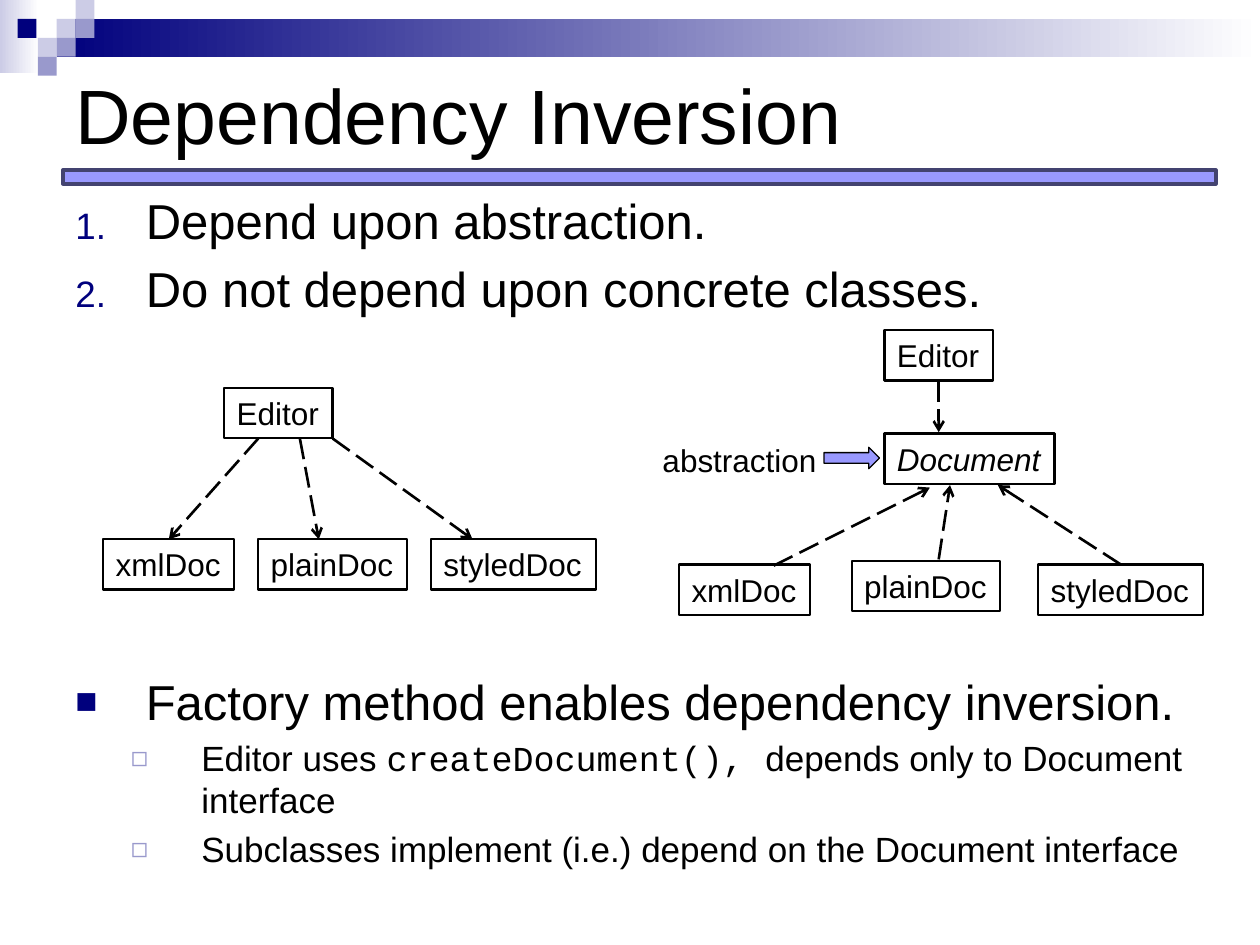
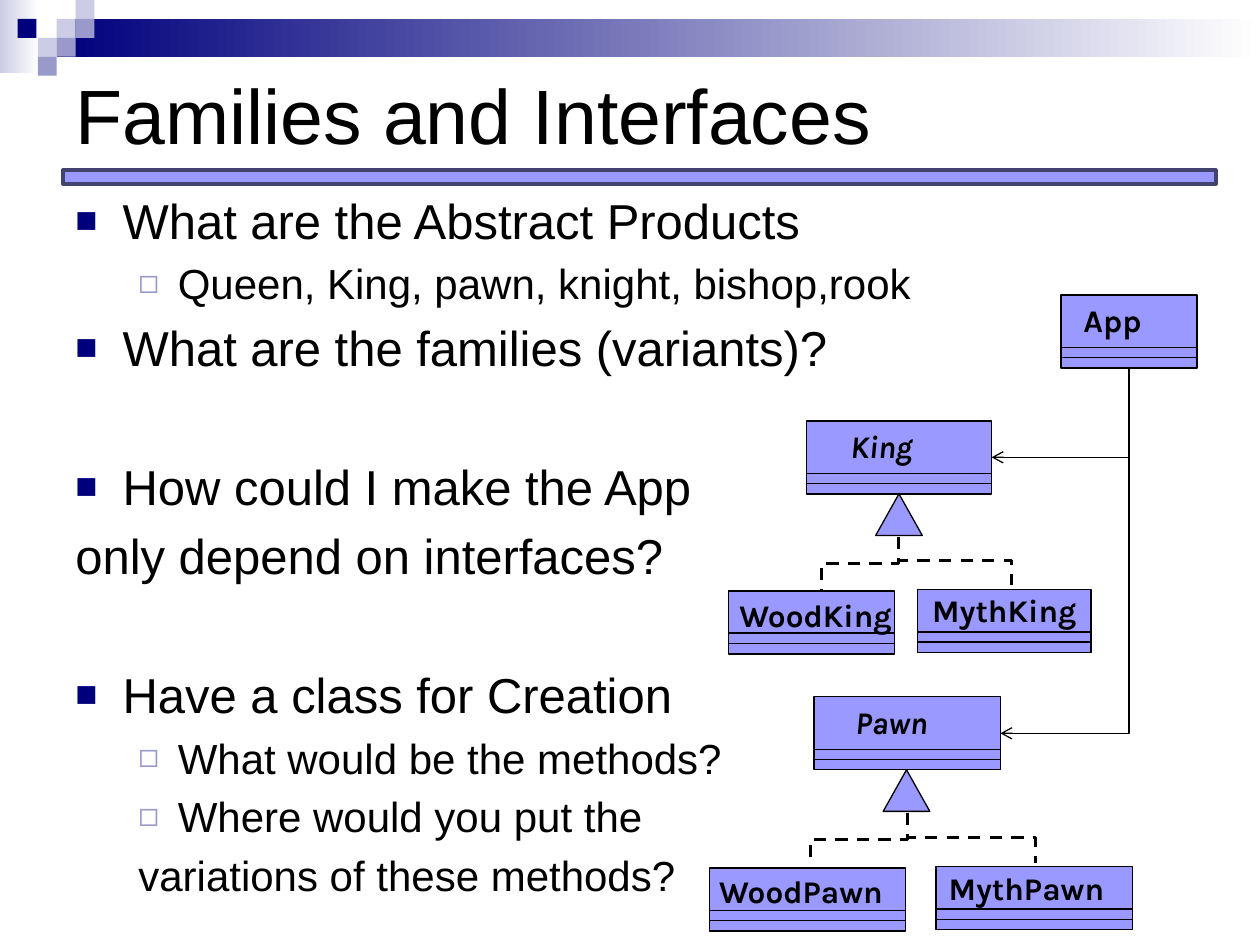
from dataclasses import dataclass
from typing import NamedTuple, Optional

from lxml import etree
from pptx import Presentation
from pptx import util as u
from pptx.dml.color import RGBColor
from pptx.enum import dml, shapes, text
from pptx.oxml.ns import qn

# Palette and fonts
BLACK = RGBColor(0x00, 0x00, 0x00)
WHITE = RGBColor(0xFF, 0xFF, 0xFF)
NAVY = RGBColor(0x00, 0x00, 0x7D)
MIST = RGBColor(0xCC, 0xCC, 0xE6)
LILAC = RGBColor(0x99, 0x99, 0xCC)
BLUE = RGBColor(0x99, 0x99, 0xFF)
SLATE = RGBColor(0x43, 0x43, 0x70)
SANS, MONO, KARLA = "Arial", "Courier New", "Karla"

# Grid: 100 columns by 75 rows
WIDE, HIGH = u.Inches(10), u.Inches(7.5)
COL, ROW = WIDE / 100, HIGH / 75
KIND = shapes.MSO_SHAPE
LINK = shapes.MSO_CONNECTOR
DASH = dml.MSO_LINE


class Box(NamedTuple):
    x: float
    y: float
    w: float
    h: float

    def emu(self) -> tuple:
        return (round(self.x * COL), round(self.y * ROW),
                round(self.w * COL), round(self.h * ROW))


class Mark(NamedTuple):
    sign: str
    color: RGBColor
    size: int


class Item(NamedTuple):
    runs: tuple
    size: float
    left: float
    hang: float
    mark: Optional[Mark] = None
    level: int = 0
    gap: Optional[float] = None


class Node(NamedTuple):
    name: str
    x: float
    y: float
    w: float
    slant: bool = False


class Edge(NamedTuple):
    start: tuple
    end: tuple
    source: Optional[int] = None  # node whose side middle is the start
    side: int = 0
    goal: Optional[int] = None  # node whose top middle is the end


@dataclass
class Card:
    box: Box
    name: str
    label: Box
    slant: bool = False
    rules: tuple = (3.35, 4.15)


NUM = Mark("", NAVY, 75)
FULL = Mark("■", NAVY, 75)
OPEN = Mark("◻", LILAC, 80)


# Basic drawing
def write(para, words: str, *, size: float, font: str = SANS,
          bold: bool = False, slant: bool = False) -> None:
    run = para.add_run()
    run.text = words
    face = run.font
    face.size, face.name = u.Pt(size), font
    face.bold, face.italic = bold, slant
    face.color.rgb = BLACK


def shape(slide, box: Box, *, kind=KIND.RECTANGLE, fill: Optional[RGBColor] = None,
          fade: Optional[RGBColor] = None, line: Optional[RGBColor] = None,
          width: float = 0.75):
    item = slide.shapes.add_shape(kind, *box.emu())
    item.shadow.inherit = False
    if fade is not None:
        item.fill.gradient()
        item.fill.gradient_angle = 0
        for stop, color in zip(item.fill.gradient_stops, (fade, WHITE)):
            stop.color.rgb = color
    elif fill is not None:
        item.fill.solid()
        item.fill.fore_color.rgb = fill
    else:
        item.fill.background()
    if line is None:
        item.line.fill.background()
    else:
        item.line.color.rgb = line
        item.line.width = u.Pt(width)
    return item


def label(item, words: str, **style) -> None:
    frame = item.text_frame
    frame.word_wrap = False
    frame.auto_size = text.MSO_AUTO_SIZE.SHAPE_TO_FIT_TEXT
    frame.vertical_anchor = text.MSO_ANCHOR.TOP
    para = frame.paragraphs[0]
    para.alignment = text.PP_ALIGN.LEFT
    write(para, words, size=18, **style)


def link(slide, start: tuple, end: tuple, *, kind=LINK.STRAIGHT,
         width: float = 0.75, dash=None, arrow: bool = False):
    item = slide.shapes.add_connector(
        kind, round(start[0] * COL), round(start[1] * ROW),
        round(end[0] * COL), round(end[1] * ROW))
    item.line.color.rgb = BLACK
    item.line.width = u.Pt(width)
    if dash is not None:
        item.line.dash_style = dash
    if arrow:
        etree.SubElement(item.line._get_or_add_ln(), qn("a:tailEnd"), type="arrow")
    etree.SubElement(item._element.spPr, qn("a:effectLst"))
    return item


def elbow(slide, start: tuple, end: tuple, *, turns: int = 2, **style) -> None:
    """Draw a bent connector that leaves its start downwards."""
    midx, midy = (start[0] + end[0]) / 2, (start[1] + end[1]) / 2
    half, rise = abs(end[0] - start[0]) / 2, (end[1] - start[1]) / 2
    right = end[0] > start[0]
    lead = -rise if right else rise
    item = link(slide, (midx - lead, midy - half), (midx + lead, midy + half),
                kind=LINK.ELBOW, **style)
    props = item._element.spPr
    props.find(qn("a:xfrm")).set("rot", str((270 if right else 90) * 60000))
    props.find(qn("a:prstGeom")).set("prst", f"bentConnector{turns + 1}")


# Shared slide frame
TILE = 1.5
TILES = ((3, 1, MIST), (4, 0, MIST), (4, 1, LILAC), (2, 2, MIST),
         (0.93, 1, NAVY), (3, 2, LILAC), (2, 3, LILAC))


def base(deck, title: str):
    slide = deck.slides.add_slide(deck.slide_layouts[6])
    shape(slide, Box(0, 0, 3.1, 5.8), fade=MIST)
    shape(slide, Box(4.5, 1.5, 95.5, 3), fade=NAVY)
    for col, row, color in TILES:
        shape(slide, Box(col * TILE, row * TILE, TILE, TILE), fill=color)
    shape(slide, Box(5, 13.5, 91.5, 1.1), fill=BLUE, line=SLATE, width=2)
    frame = slide.shapes.add_textbox(*Box(5, 1.5, 90, 15).emu()).text_frame
    frame.word_wrap = True
    frame.vertical_anchor = text.MSO_ANCHOR.MIDDLE
    write(frame.paragraphs[0], title, size=44)
    return slide


def body(slide, high: float, items: tuple) -> None:
    frame = slide.shapes.add_textbox(*Box(5, 14.6, 90, high).emu()).text_frame
    frame.word_wrap = True
    for i, item in enumerate(items):
        para = frame.paragraphs[0] if i == 0 else frame.add_paragraph()
        para.level = item.level
        props = para._p.get_or_add_pPr()
        props.set("marL", str(round(item.left * COL)))
        props.set("indent", str(round(-item.hang * COL)))
        if item.gap is None:
            room = etree.SubElement(props, qn("a:spcBef"))
            etree.SubElement(room, qn("a:spcPct"), val="20000")
        else:
            para.space_before = u.Pt(item.gap)
        bullet(props, item.mark)
        for words, font in item.runs:
            write(para, words, size=item.size, font=font)


def bullet(props, mark: Optional[Mark]) -> None:
    if mark is None:
        etree.SubElement(props, qn("a:buNone"))
        return
    tint = etree.SubElement(props, qn("a:buClr"))
    etree.SubElement(tint, qn("a:srgbClr"), val=str(mark.color))
    etree.SubElement(props, qn("a:buSzPct"), val=str(mark.size * 1000))
    etree.SubElement(props, qn("a:buFont"), typeface=SANS)
    if mark.sign:
        etree.SubElement(props, qn("a:buChar"), char=mark.sign)
    else:
        etree.SubElement(props, qn("a:buAutoNum"), type="arabicPeriod")


def plain(words: str) -> tuple:
    return ((words, SANS),)


# Dependency diagrams
def graph(slide, nodes: tuple, edges: tuple) -> None:
    made = []
    for node in nodes:
        item = shape(slide, Box(node.x, node.y, node.w, 4), line=BLACK, width=1.25)
        label(item, node.name, slant=node.slant)
        made.append(item)
    for edge in edges:
        item = link(slide, edge.start, edge.end, width=1.5,
                    dash=DASH.LONG_DASH, arrow=True)
        if edge.source is not None:
            item.begin_connect(made[edge.source], edge.side)
        if edge.goal is not None:
            item.end_connect(made[edge.goal], 0)


def invert(deck) -> None:
    slide = base(deck, "Dependency Inversion")
    body(slide, 49.6, (
        Item(plain("Depend upon abstraction."), 28, 5.6, 5.6, NUM),
        Item(plain("Do not depend upon concrete classes."), 28, 5.6, 5.6, NUM),
        Item(plain("Factory method enables dependency inversion."),
             28, 5.6, 5.6, FULL, gap=202),
        Item((("Editor uses ", SANS), ("createDocument(), ", MONO),
              ("depends only to Document interface", SANS)), 20, 10, 5.6, OPEN, 1),
        Item(plain("Subclasses implement (i.e.) depend on the Document interface"),
             20, 10, 5.6, OPEN, 1)))
    # Concrete dependencies
    graph(slide,
          (Node("Editor", 17.8, 30.8, 8.6), Node("xmlDoc", 8.2, 42.8, 10.4),
           Node("plainDoc", 20.5, 42.8, 11.8), Node("styledDoc", 34.2, 42.8, 13.1)),
          (Edge((20.5, 34.8), (13.4, 42.8), goal=1),
           Edge((23.8, 34.8), (25.3, 42.8)), Edge((26.4, 34.8), (37.5, 42.8))))
    # Dependencies on the abstraction
    graph(slide,
          (Node("Editor", 70.2, 26.2, 8.6), Node("Document", 70.2, 34.4, 13.5, True),
           Node("xmlDoc", 53.9, 44.8, 10.4), Node("plainDoc", 67.6, 44.5, 11.8),
           Node("styledDoc", 82.4, 44.8, 13.1)),
          (Edge((74.5, 30.2), (74.5, 34.3), source=0, side=2),
           Edge((61.4, 44.9), (73.8, 38.7)), Edge((74.5, 44.4), (75.4, 38.5)),
           Edge((89, 44.8), (79.2, 38.5), source=4)))
    label(slide.shapes.add_textbox(*Box(51.6, 34.5, 14.4, 4).emu()), "abstraction")
    shape(slide, Box(65.4, 35.5, 4.4, 1.7), kind=KIND.RIGHT_ARROW, fill=BLUE, line=BLACK)


# Class diagram
TALL = (4.2, 5)
CARDS = (
    Card(Box(84.2, 23.4, 10.8, 5.8), "App", Box(85, 23.4, 6.9, 4), rules=TALL),
    Card(Box(64, 33.4, 14.7, 5.8), "King", Box(66.5, 33.4, 7.7, 4), True, TALL),
    Card(Box(64.6, 55.3, 14.8, 5.8), "Pawn", Box(66.9, 55.3, 9, 4), True, TALL),
    Card(Box(57.8, 46.9, 13.2, 5), "WoodKing", Box(57.7, 46.8, 15, 4)),
    Card(Box(72.8, 46.8, 13.8, 5), "MythKing", Box(73, 46.4, 14.5, 4)),
    Card(Box(56.3, 68.9, 15.6, 5), "WoodPawn", Box(56.1, 68.7, 16.4, 4)),
    Card(Box(74.3, 68.8, 15.6, 5), "MythPawn", Box(74.3, 68.5, 15.8, 4)),
)
TIPS = (Box(69.5, 39.2, 3.7, 3.3), Box(70.1, 61.1, 3.7, 3.3))
FORKS = (((71.3, 42.6), (80.3, 46.4)), ((71.3, 42.6), (65.2, 46.8)),
         ((72, 64.5), (64.3, 68.7)), ((72, 64.5), (82.2, 68.5)))
USES = ((78.7, 36.3), (79.4, 58.2))


def family(deck) -> None:
    slide = base(deck, "Families and Interfaces")
    body(slide, 56.3, (
        Item(plain("What are the Abstract Products"), 28, 3.75, 3.75, FULL),
        Item(plain("Queen, King, pawn, knight, bishop,rook"), 24, 8.13, 3.13, OPEN, 1),
        Item(plain("What are the families (variants)?"), 28, 3.75, 3.75, FULL),
        Item(plain("How could I make the App"), 28, 3.75, 3.75, FULL, gap=46),
        Item(plain("only depend on interfaces?"), 28, 0, 0),
        Item(plain("Have a class for Creation"), 28, 3.75, 3.75, FULL, gap=46),
        Item(plain("What would be the methods?"), 24, 8.13, 3.13, OPEN, 1),
        Item(plain("Where would you put the"), 24, 8.13, 3.13, OPEN, 1),
        Item(plain("variations of these methods?"), 24, 5, 0, level=1)))
    for card in CARDS:
        box = card.box
        shape(slide, box, fill=BLUE, line=BLACK)
        for drop in card.rules:
            link(slide, (box.x, box.y + drop), (box.x + box.w, box.y + drop))
        label(slide.shapes.add_textbox(*card.label.emu()), card.name,
              font=KARLA, bold=True, slant=card.slant)
    for tip in TIPS:
        shape(slide, tip, kind=KIND.ISOSCELES_TRIANGLE, fill=BLUE, line=BLACK)
    for start, end in FORKS:
        elbow(slide, start, end, width=1.75, dash=DASH.DASH)
    for end in USES:
        elbow(slide, (89.6, 29.2), end, turns=1, arrow=True)


def main() -> None:
    deck = Presentation()
    deck.slide_width, deck.slide_height = WIDE, HIGH
    invert(deck)
    family(deck)
    deck.save("out.pptx")


if __name__ == "__main__":
    main()
